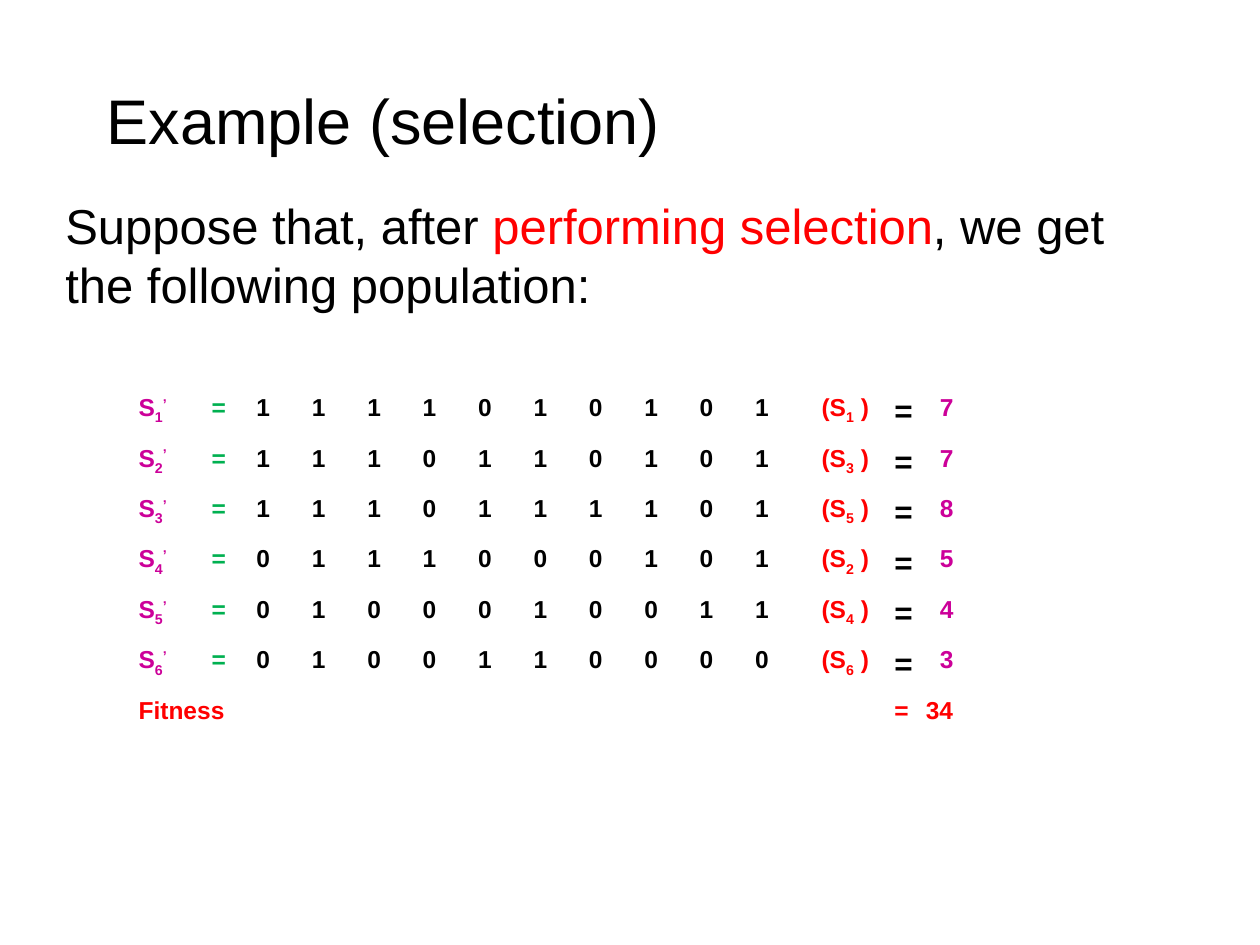
from dataclasses import dataclass

from lxml import etree
from pptx import Presentation
from pptx.dml.color import RGBColor
from pptx.enum.text import MSO_ANCHOR, PP_ALIGN
from pptx.oxml.ns import qn
from pptx.util import Inches, Pt

LEFT, CENTER, RIGHT = PP_ALIGN.LEFT, PP_ALIGN.CENTER, PP_ALIGN.RIGHT
MIDDLE = MSO_ANCHOR.MIDDLE


@dataclass(frozen=True)
class Theme:
    font: str = "Arial"
    ink: str = "000000"
    accent: str = "FF0000"
    label: str = "CC0099"
    equals: str = "00B050"
    border: str = "FFFFFF"
    title_size: int = 36
    body_size: int = 28
    sign_size: int = 18
    cell_size: int = 14
    subscript: int = -25000
    superscript: int = 30000


THEME = Theme()

POPULATION = [
    ("1111010101", 1, 7),
    ("1110110101", 3, 7),
    ("1110111101", 5, 8),
    ("0111000101", 2, 5),
    ("0100010011", 4, 4),
    ("0100110000", 6, 3),
]
GENE_COUNT = 10
COLUMN_WIDTHS = [0.58, 0.29] + [0.44] * GENE_COUNT + [0.73, 0.25, 0.42]
ROW_HEIGHTS = [0.4] * len(POPULATION) + [0.37]
ORIGIN, SIGN, FITNESS = range(2 + GENE_COUNT, len(COLUMN_WIDTHS))


def style_paragraph(paragraph, size, color, bold=False, align=LEFT):
    paragraph.alignment = align
    paragraph.font.name = THEME.font
    paragraph.font.size = Pt(size)
    paragraph.font.bold = bold
    paragraph.font.color.rgb = RGBColor.from_string(color)


def add_run(paragraph, text, baseline=0):
    run = paragraph.add_run()
    run.text = text
    if baseline:
        run.font._element.set("baseline", str(baseline))
    return run


def add_text_frame(slide, box):
    frame = slide.shapes.add_textbox(*box).text_frame
    frame.word_wrap = True
    return frame


def add_title(slide, box):
    frame = add_text_frame(slide, box)
    frame.vertical_anchor = MIDDLE
    heading = frame.paragraphs[0]
    add_run(heading, "Example (selection)")
    style_paragraph(heading, THEME.title_size, THEME.ink)


def add_introduction(slide, box):
    sentence = add_text_frame(slide, box).paragraphs[0]
    style_paragraph(sentence, THEME.body_size, THEME.ink)
    add_run(sentence, "Suppose that, after ")
    emphasis = add_run(sentence, "performing selection")
    emphasis.font.color.rgb = RGBColor.from_string(THEME.accent)
    add_run(sentence, ", we get the following population:")


def set_borders(cell, top, bottom):
    properties = cell._tc.get_or_add_tcPr()
    for position, (side, width) in enumerate(
        [("lnL", 1), ("lnR", 1), ("lnT", top), ("lnB", bottom)]
    ):
        line = etree.Element(qn(f"a:{side}"), w=str(Pt(width)))
        fill = etree.SubElement(line, qn("a:solidFill"))
        etree.SubElement(fill, qn("a:srgbClr"), val=THEME.border)
        properties.insert(position, line)


def fill_cell(cell, pieces, color, align=LEFT, size=THEME.cell_size):
    paragraph = cell.text_frame.paragraphs[0]
    style_paragraph(paragraph, size, color, bold=True, align=align)
    for text, baseline in pieces:
        add_run(paragraph, text, baseline)


def fill_individual(table, row, genes, origin, fitness):
    name = [("S", 0), (str(row + 1), THEME.subscript), ("’", THEME.superscript)]
    source = [("(S", 0), (str(origin), THEME.subscript), (" )", 0)]
    fill_cell(table.cell(row, 0), name, THEME.label)
    fill_cell(table.cell(row, 1), [("=", 0)], THEME.equals)
    for column, gene in enumerate(genes, start=2):
        fill_cell(table.cell(row, column), [(gene, 0)], THEME.ink, CENTER)
    fill_cell(table.cell(row, ORIGIN), source, THEME.accent, RIGHT)
    fill_cell(table.cell(row, SIGN), [("=", 0)], THEME.ink, RIGHT, THEME.sign_size)
    fill_cell(table.cell(row, FITNESS), [(str(fitness), 0)], THEME.label, RIGHT)


def fill_total(table, row):
    total = sum(fitness for _, _, fitness in POPULATION)
    table.cell(row, 0).merge(table.cell(row, 4))
    for column, text in [(0, "Fitness"), (SIGN, "="), (FITNESS, str(total))]:
        fill_cell(table.cell(row, column), [(text, 0)], THEME.accent)


def add_population(slide, box):
    table = slide.shapes.add_table(len(ROW_HEIGHTS), len(COLUMN_WIDTHS), *box).table
    table.first_row = table.horz_banding = False
    for column, width in zip(table.columns, COLUMN_WIDTHS):
        column.width = Inches(width)
    for index, (row, height) in enumerate(zip(table.rows, ROW_HEIGHTS)):
        row.height = Inches(height)
        for cell in row.cells:
            cell.fill.background()
            set_borders(cell, 3 if index == 1 else 1, 3 if index == 0 else 1)
    for row, individual in enumerate(POPULATION):
        fill_individual(table, row, *individual)
    fill_total(table, len(POPULATION))


def main():
    presentation = Presentation()
    presentation.slide_width, presentation.slide_height = Inches(10), Inches(7.5)
    slide = presentation.slides.add_slide(presentation.slide_layouts[6])
    add_title(slide, [Inches(v) for v in (0.75, 0.6, 8.5, 0.7)])
    add_introduction(slide, [Inches(v) for v in (0.42, 1.5, 8.58, 1.75)])
    add_population(slide, [Inches(v) for v in (1, 3.08, 6.67, 2.77)])
    presentation.save("out.pptx")


if __name__ == "__main__":
    main()
